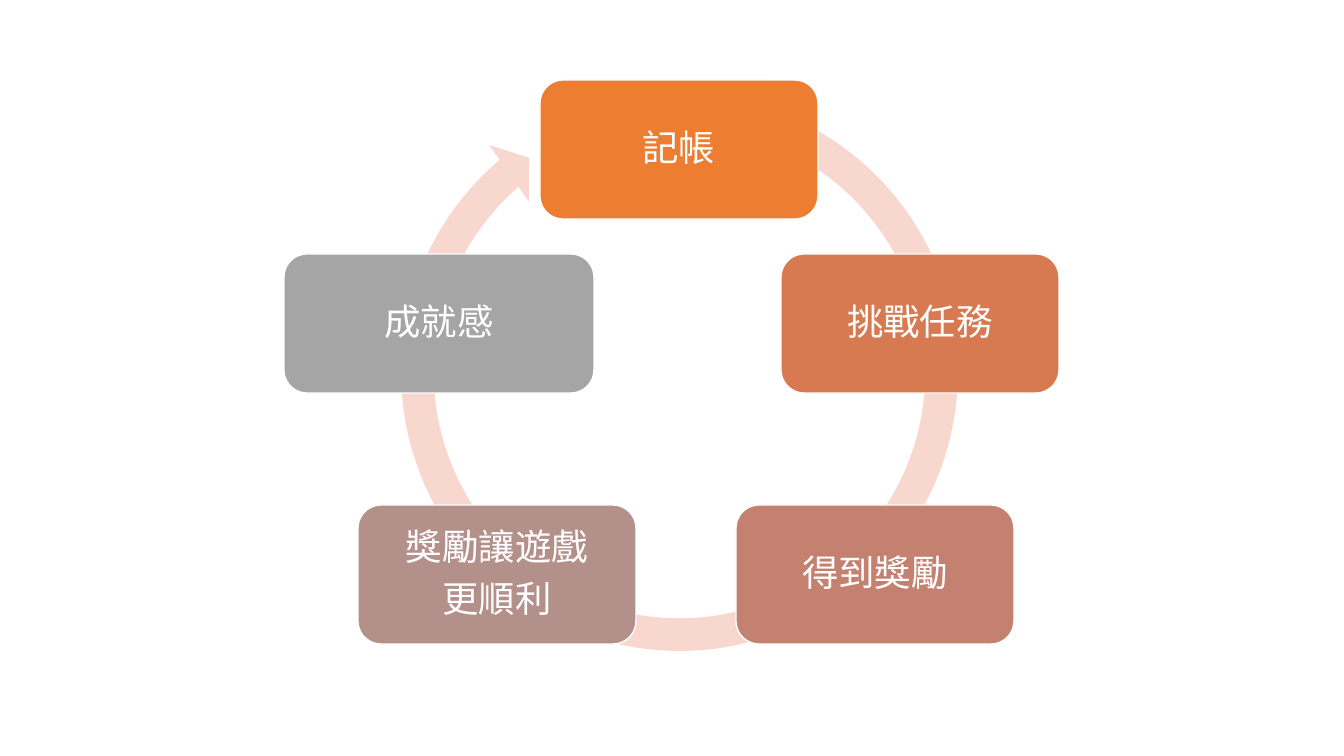
import pptx
import pptx.util
import pptx.dml.color
import pptx.enum.shapes
import pptx.enum.text

RGB = pptx.dml.color.RGBColor
SHAPE = pptx.enum.shapes.MSO_SHAPE
WHITE = RGB(0xFF, 0xFF, 0xFF)
PINK = RGB(0xF8, 0xD7, 0xCE)
ORANGE = RGB(0xED, 0x7D, 0x31)
RUST = RGB(0xD8, 0x7A, 0x51)
ROSE = RGB(0xC4, 0x81, 0x70)
MAUVE = RGB(0xB4, 0x90, 0x8B)
GRAY = RGB(0xA5, 0xA5, 0xA5)

SLIDE = (1344, 756)
RING = (383, 76, 593, 593)
BENDS = (0.055, 3.307, 137.676, 173.91, 0.058)
HIGH = 139
INSET = 11
STEPS = [
    (["記帳"], 540, 80, 278, ORANGE),
    (["挑戰任務"], 781, 254, 278, RUST),
    (["得到獎勵"], 736, 505, 278, ROSE),
    (["獎勵讓遊戲", "更順利"], 358, 505, 278, MAUVE),
    (["成就感"], 284, 254, 310, GRAY),
]


def px(n):
    """Turn px into EMU."""
    return pptx.util.Emu(round(n * 914400 / 100.8))


def draw(slide, kind, box, fill):
    """Add a flat filled shape without an outline."""
    shape = slide.shapes.add_shape(kind, *map(px, box))
    shape.shadow.inherit = False
    shape.fill.solid()
    shape.fill.fore_color.rgb = fill
    shape.line.fill.background()
    return shape


def write(shape, lines, size=26, font="Calibri", color=WHITE, gap=9):
    """Set centred lines of text in a shape."""
    frame = shape.text_frame
    frame.word_wrap = True
    frame.vertical_anchor = pptx.enum.text.MSO_ANCHOR.MIDDLE
    frame.margin_left = frame.margin_right = px(INSET)
    frame.margin_top = frame.margin_bottom = px(INSET)
    frame.text = "\n".join(lines)
    for para in frame.paragraphs:
        para.alignment = pptx.enum.text.PP_ALIGN.CENTER
        para.line_spacing = 0.9
        para.space_after = pptx.util.Pt(gap)
        para.font.size = pptx.util.Pt(size)
        para.font.name = font
        para.font.color.rgb = color


def main():
    """Build the cycle slide."""
    deck = pptx.Presentation()
    deck.slide_width, deck.slide_height = map(px, SLIDE)
    slide = deck.slides.add_slide(deck.slide_layouts[6])
    ring = draw(slide, SHAPE.CIRCULAR_ARROW, RING, PINK)
    for i, bend in enumerate(BENDS):
        ring.adjustments[i] = bend
    for lines, left, top, wide, fill in STEPS:
        step = draw(slide, SHAPE.ROUNDED_RECTANGLE, (left, top, wide, HIGH), fill)
        step.line.color.rgb = WHITE
        step.line.width = pptx.util.Pt(1)
        write(step, lines)
    deck.save("out.pptx")


if __name__ == "__main__":
    main()
